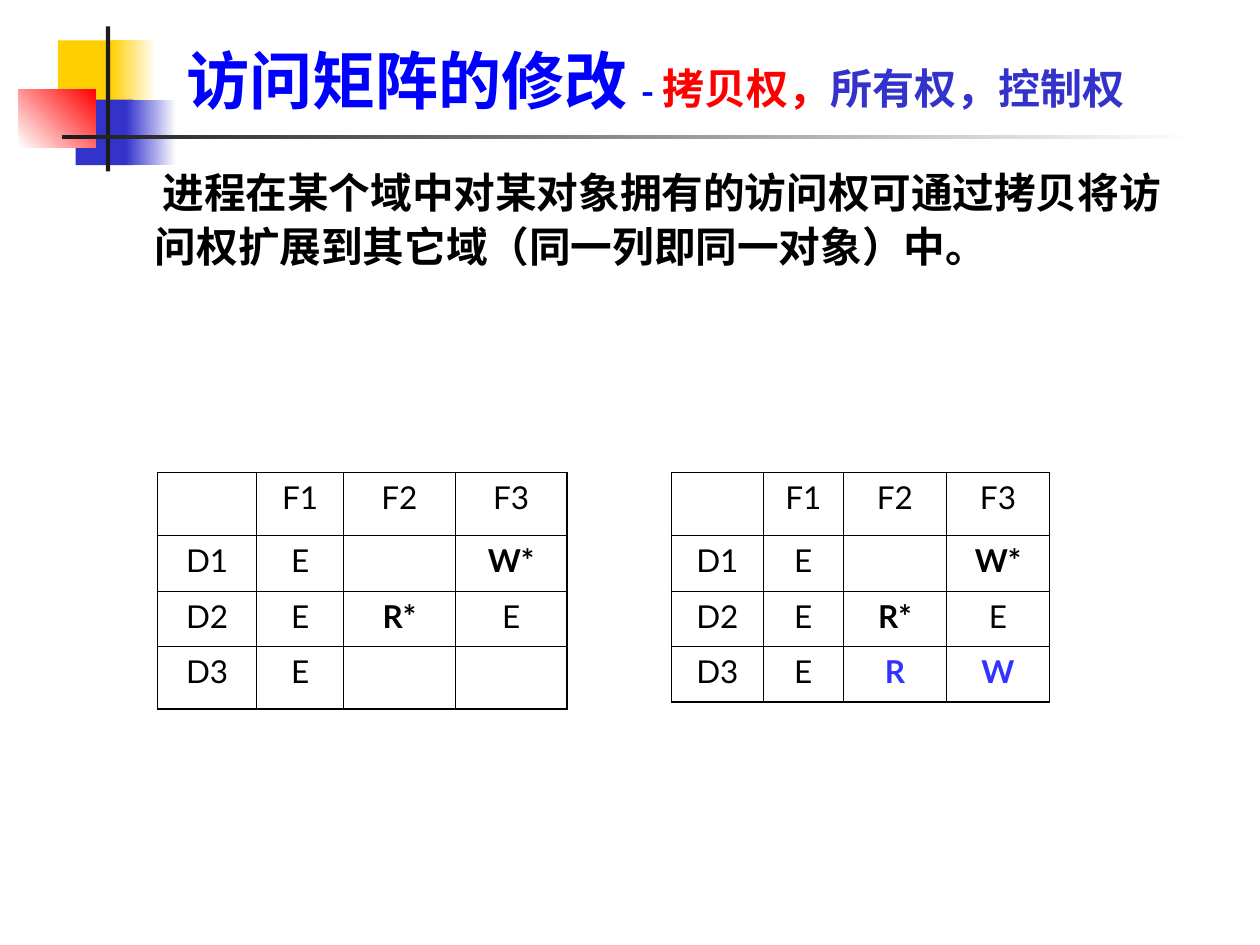
"""Build the slide on changing an access matrix by copy rights."""
import dataclasses

import lxml.etree
import pptx
import pptx.dml.color
import pptx.enum.shapes
import pptx.enum.text
import pptx.oxml.ns
import pptx.util


@dataclasses.dataclass(frozen=True)
class Theme:
    han: str = "Noto Sans CJK SC"
    latin: str = "Lato"
    black: str = "000000"
    white: str = "FFFFFF"
    dark: str = "1C1C1C"
    gold: str = "FFCF01"
    navy: str = "3333CC"
    red: str = "FF0000"
    blue: str = "0000FF"
    grant: str = "3333FF"
    head: float = 36
    dash: float = 20
    right: float = 24
    body: float = 23.8
    cell: float = 18
    thick: float = 1.08
    thin: float = 0.45


def rgb(color):
    return pptx.dml.color.RGBColor.from_string(color)


def node(parent, tag, **attrs):
    item = lxml.etree.SubElement(parent, pptx.oxml.ns.qn(tag))
    for key, value in attrs.items():
        item.set(key, str(value))
    return item


def write(para, text, *, size, color, font, bold=False):
    run = para.add_run()
    run.text = text
    run.font.size = pptx.util.Pt(size)
    run.font.bold = bold
    run.font.color.rgb = rgb(color)
    run.font.name = font
    node(run.font._element, "a:ea", typeface=font)


class Page:
    cols, rows = 100, 75

    def __init__(self, deck, theme):
        self.theme = theme
        self.slide = deck.slides.add_slide(deck.slide_layouts[1])
        self.unit = deck.slide_width / self.cols
        self.step = deck.slide_height / self.rows

    def place(self, left, top, width, height):
        return [round(left * self.unit), round(top * self.step),
                round(width * self.unit), round(height * self.step)]

    def block(self, area, color, fade=None, angle=0):
        kind = pptx.enum.shapes.MSO_SHAPE.RECTANGLE
        shape = self.slide.shapes.add_shape(kind, *self.place(*area))
        shape.shadow.inherit = False
        shape.line.fill.background()
        if fade is None:
            shape.fill.solid()
            shape.fill.fore_color.rgb = rgb(color)
            return
        shape.fill.gradient()
        shape.fill.gradient_angle = angle
        for stop, shade in zip(shape.fill.gradient_stops, (color, fade)):
            stop.color.rgb = rgb(shade)

    def holder(self, index, area, anchor):
        shape = self.slide.placeholders[index]
        shape.left, shape.top, shape.width, shape.height = self.place(*area)
        frame = shape.text_frame
        frame.word_wrap = True
        frame.auto_size = pptx.enum.text.MSO_AUTO_SIZE.NONE
        frame.vertical_anchor = anchor
        para = frame.paragraphs[0]
        para.alignment = pptx.enum.text.PP_ALIGN.LEFT
        para.space_before = pptx.util.Pt(0)
        return para

    def title(self, area, parts):
        para = self.holder(0, area, pptx.enum.text.MSO_ANCHOR.BOTTOM)
        for text, size, color in parts:
            write(para, text, size=size, color=color,
                  font=self.theme.han, bold=True)

    def body(self, area, text, margin, indent, spacing):
        para = self.holder(1, area, pptx.enum.text.MSO_ANCHOR.TOP)
        para.line_spacing = spacing
        props = para._p.get_or_add_pPr()
        props.set("marL", str(round(margin * self.unit)))
        props.set("indent", str(round(indent * self.unit)))
        node(props, "a:buNone")
        write(para, text, size=self.theme.body, color=self.theme.black,
              font=self.theme.han, bold=True)

    def edge(self, cell, outer):
        props = cell._tc.get_or_add_tcPr()
        for side, rim in zip("LRTB", outer):
            width = self.theme.thick if rim else self.theme.thin
            line = node(props, f"a:ln{side}", w=pptx.util.Pt(width))
            fill = node(line, "a:solidFill")
            node(fill, "a:srgbClr", val=self.theme.black)
        cell.fill.background()

    def matrix(self, left, top, width, ratio, heights, data):
        area = self.place(left, top, width, sum(heights))
        frame = self.slide.shapes.add_table(len(data), len(ratio), *area)
        table = frame.table
        table.first_row = table.horz_banding = False
        for col, part in zip(table.columns, ratio):
            col.width = round(area[2] * part / sum(ratio))
        for row, height in zip(table.rows, heights):
            row.height = round(height * self.step)
        for y, line in enumerate(data):
            for x, text in enumerate(line):
                cell = table.cell(y, x)
                self.edge(cell, (x == 0, x == len(ratio) - 1,
                                 y == 0, y == len(data) - 1))
                self.entry(cell.text_frame.paragraphs[0], text)

    def entry(self, para, text):
        para.alignment = pptx.enum.text.PP_ALIGN.CENTER
        if not text:
            para.font.size = pptx.util.Pt(self.theme.cell)
            return
        color = self.theme.grant if text in ("R", "W") else self.theme.black
        write(para, text, size=self.theme.cell, color=color,
              font=self.theme.latin, bold=text[0] in "RW")


def main():
    deck = pptx.Presentation()
    deck.slide_width = pptx.util.Inches(10)
    deck.slide_height = pptx.util.Inches(7.5)
    theme = Theme()
    page = Page(deck, theme)

    page.block((4.6, 3.2, 4.8, 5.2), theme.gold)
    page.block((8.8, 3.2, 3.6, 5.2), theme.gold, theme.white)
    page.block((6, 7.9, 4.6, 5.2), theme.navy)
    page.block((10, 7.9, 4, 5.2), theme.navy, theme.white)
    page.block((1.5, 7.1, 6.1, 4.6), theme.white, theme.red, 45)
    page.block((8.4, 2.1, 0.35, 11.5), theme.dark)
    page.block((4.9, 10.7, 90, 0.3), theme.dark, theme.white)

    page.title((13.8, 1.3, 87.8, 8.5), [
        ("访问矩阵的修改 ", theme.head, theme.blue),
        ("- ", theme.dash, theme.blue),
        ("拷贝权，", theme.right, theme.red),
        ("所有权，控制权", theme.right, theme.navy),
    ])
    page.body((7.5, 12.5, 87.5, 12.5),
              "进程在某个域中对某对象拥有的访问权可通过拷贝将访问权扩展到其它域"
              "（同一列即同一对象）中。",
              margin=3.8, indent=0.6, spacing=1.07)

    ratio = (8, 7, 9, 9)
    start = [["", "F1", "F2", "F3"], ["D1", "E", "", "W*"],
             ["D2", "E", "R*", "E"]]
    page.matrix(12.5, 37.5, 32.5, ratio, (5, 4.4, 4.4, 5),
                start + [["D3", "E", "", ""]])
    page.matrix(53.3, 37.5, 30, ratio, (5, 4.4, 4.4, 4.4),
                start + [["D3", "E", "R", "W"]])
    deck.save("out.pptx")


if __name__ == "__main__":
    main()
